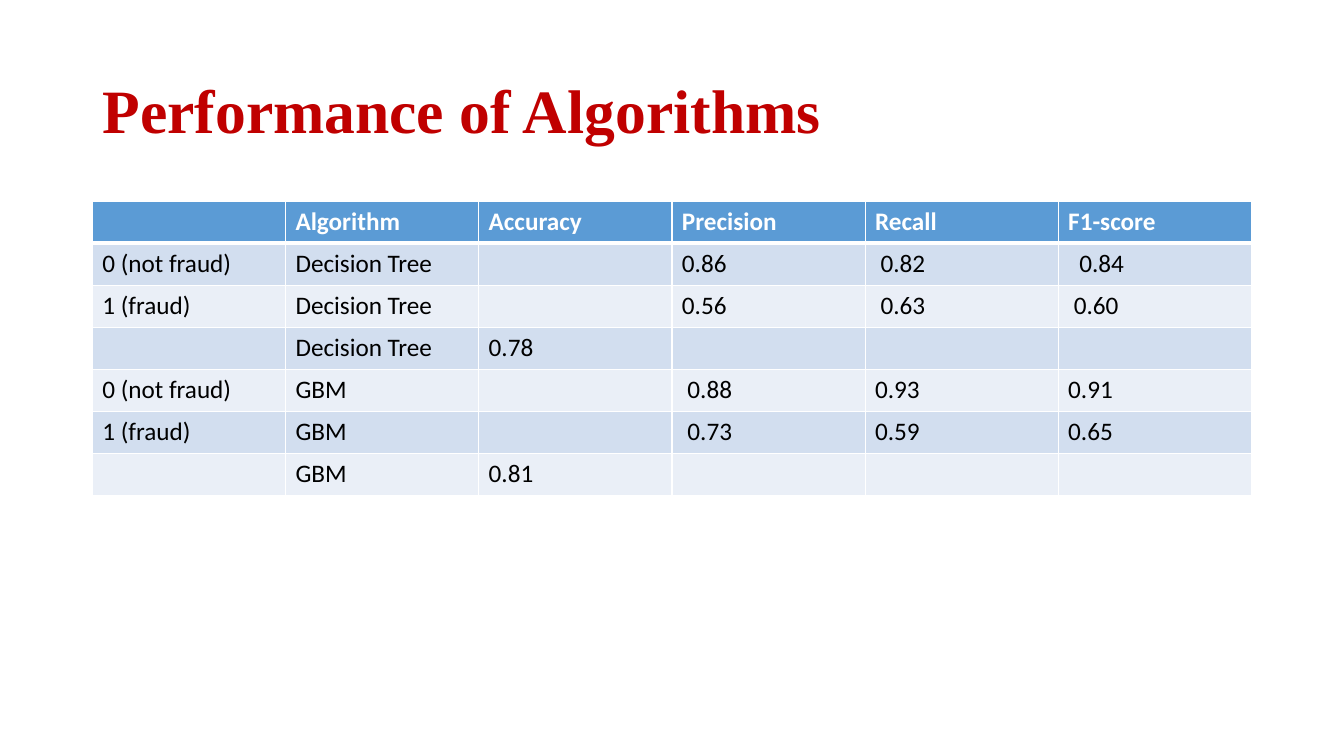
from dataclasses import dataclass

from lxml.etree import SubElement
from pptx import Presentation
from pptx.dml.color import RGBColor as Color
from pptx.enum.text import MSO_ANCHOR as Anchor, MSO_AUTO_SIZE as AutoSize, PP_ALIGN as Align
from pptx.oxml.ns import qn
from pptx.util import Cm, Pt


@dataclass(frozen=True)
class Theme:
    """Colours, fonts and type sizes of the slide."""
    title_color: str = "C00000"
    header_fill: str = "5B9BD5"
    band_fills: tuple = ("D2DEEF", "EAEFF7")
    light: str = "FFFFFF"
    dark: str = "000000"
    title_font: str = "Times New Roman"
    body_font: str = "Calibri"
    title_size: int = 44
    body_size: int = 18
    thin_line: int = 1
    thick_line: int = 3


THEME = Theme()
HEADER = ("", "Algorithm", "Accuracy", "Precision", "Recall", "F1-score")
RESULTS = (
    ("0 (not fraud)", "Decision Tree", "", "0.86", "0.82", "0.84"),
    ("1 (fraud)", "Decision Tree", "", "0.56", "0.63", "0.60"),
    ("", "Decision Tree", "0.78", "", "", ""),
    ("0 (not fraud)", "GBM", "", "0.88", "0.93", "0.91"),
    ("1 (fraud)", "GBM", "", "0.73", "0.59", "0.65"),
    ("", "GBM", "0.81", "", "", ""),
)
INDENT_STEPS = {(1, 4): 1, (1, 5): 2, (2, 4): 1, (2, 5): 1, (4, 3): 1, (5, 3): 1}
CELL_MARGIN = Cm(0.25)
INDENT_STEP = Cm(0.14)


def write_text(frame, text, font, size, color, bold=False, spacing=1.0):
    """Write one left-aligned paragraph into a text frame."""
    paragraph = frame.paragraphs[0]
    paragraph.alignment = Align.LEFT
    paragraph.line_spacing = spacing
    paragraph.font.size = Pt(size)
    if text:
        run = paragraph.add_run()
        run.text = text
        run.font.name = font
        run.font.size = Pt(size)
        run.font.bold = bold
        run.font.color.rgb = Color.from_string(color)


def draw_borders(cell, top, bottom):
    """Draw light borders around a cell with the given top and bottom widths."""
    properties = cell._tc.get_or_add_tcPr()
    widths = {"a:lnL": THEME.thin_line, "a:lnR": THEME.thin_line, "a:lnT": top, "a:lnB": bottom}
    for tag, width in widths.items():
        line = SubElement(properties, qn(tag), w=str(Pt(width)))
        fill = SubElement(line, qn("a:solidFill"))
        SubElement(fill, qn("a:srgbClr"), val=THEME.light)


def add_title(slide, text, left, top, width, height):
    """Place and format the title placeholder."""
    title = slide.shapes.title
    title.left, title.top, title.width, title.height = left, top, width, height
    frame = title.text_frame
    frame.word_wrap = True
    frame.auto_size = AutoSize.NONE
    frame.vertical_anchor = Anchor.MIDDLE
    write_text(frame, text, THEME.title_font, THEME.title_size, THEME.title_color,
               bold=True, spacing=0.9)


def add_results_table(slide, left, top, width, height):
    """Build the table of scores with a header and banded rows."""
    rows = (HEADER, *RESULTS)
    table = slide.shapes.add_table(len(rows), len(HEADER), left, top, width, height).table
    for row_index, values in enumerate(rows):
        is_header = row_index == 0
        fill = THEME.header_fill if is_header else THEME.band_fills[(row_index - 1) % 2]
        for column_index, text in enumerate(values):
            cell = table.cell(row_index, column_index)
            draw_borders(cell,
                         top=THEME.thick_line if row_index == 1 else THEME.thin_line,
                         bottom=THEME.thick_line if is_header else THEME.thin_line)
            cell.fill.solid()
            cell.fill.fore_color.rgb = Color.from_string(fill)
            steps = INDENT_STEPS.get((row_index, column_index), 0)
            cell.margin_left = CELL_MARGIN + steps * INDENT_STEP
            write_text(cell.text_frame, text, THEME.body_font, THEME.body_size,
                       THEME.light if is_header else THEME.dark, bold=is_header)


def main():
    """Build the slide and save it."""
    presentation = Presentation()
    presentation.slide_width, presentation.slide_height = Cm(33.87), Cm(19.05)
    slide = presentation.slides.add_slide(presentation.slide_layouts[5])
    left, width = Cm(2.33), Cm(29.21)
    add_title(slide, "Performance of Algorithms", left, Cm(1.01), width, Cm(3.68))
    add_results_table(slide, left, Cm(5.07), width, Cm(7.42))
    presentation.save("out.pptx")


if __name__ == "__main__":
    main()
